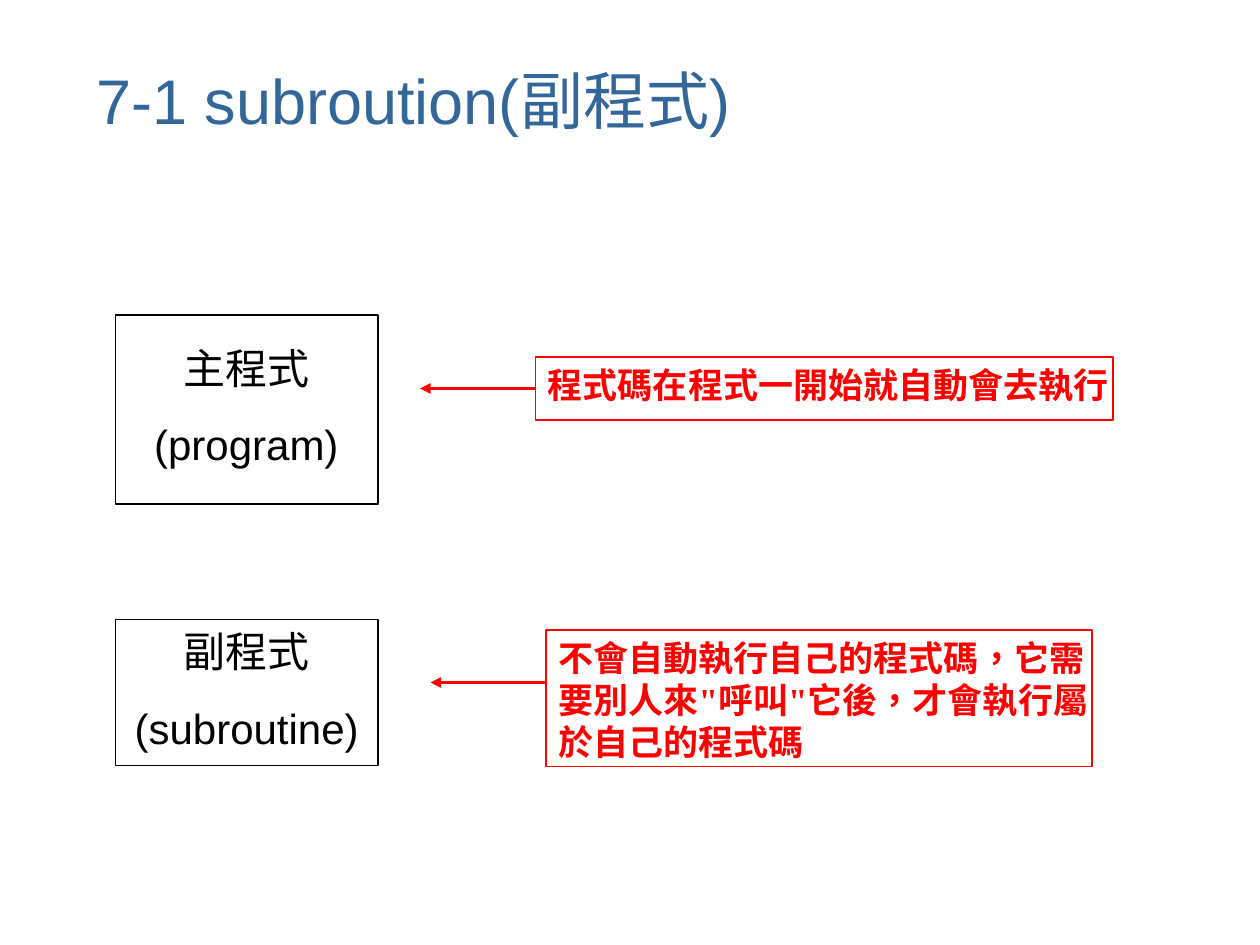
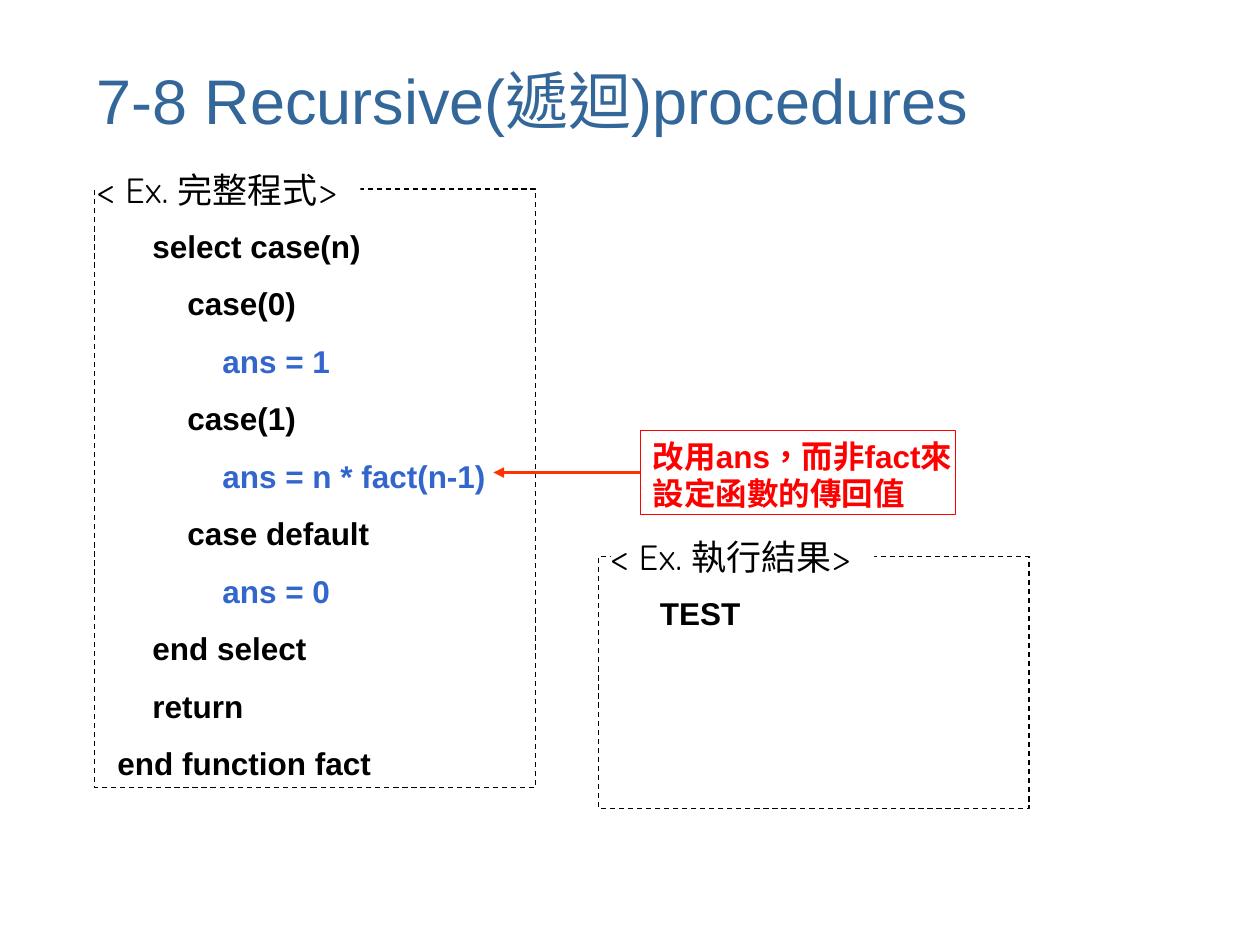
"""Build two slides on subroutines and recursive procedures."""
from lxml.etree import SubElement
from pptx import Presentation
from pptx.dml.color import RGBColor
from pptx.enum.dml import MSO_LINE
from pptx.enum.lang import MSO_LANGUAGE_ID as LANGUAGE
from pptx.enum.shapes import MSO_CONNECTOR, MSO_SHAPE
from pptx.enum.text import MSO_ANCHOR as ANCHOR, PP_ALIGN as ALIGN
from pptx.oxml.ns import qn
from pptx.util import Pt

COLORS = {
    "title": "336699", "text": "000000", "paper": "FFFFFF",
    "note": "FF0000", "arrow": "FF3300", "answer": "3366CC",
}
TITLE_BOX = (48, 18, 612, 78)

ROUTINES = [
    {"lines": ["主程式", "(program)"],
     "frame": (66, 180, 150, 108), "text": (72, 192, 137.5, 80)},
    {"lines": ["副程式", "(subroutine)"],
     "frame": (66, 354, 150, 83.5), "text": (66, 354, 150, 80)},
]
ROUTINE_NOTES = [
    {"text": "程式碼在程式一開始就自動會去執行",
     "frame": (306, 204, 330, 36), "text_width": 335.5, "arrow": (240, 222)},
    {"text": "不會自動執行自己的程式碼，它需要別人來\"呼叫\"它後，才會執行屬於自己的程式碼",
     "frame": (312, 360, 312, 78), "text_width": 324, "arrow": (246, 390)},
]
ANSWER_NOTE = {
    "text": "改用ans，而非fact來設定函數的傳回值",
    "frame": (366, 246, 180, 48), "text_width": 186, "arrow": (282, 270),
}
CODE = [
    "    select case(n)",
    "        case(0)",
    "            ans = 1",
    "        case(1)",
    "            ans = n * fact(n-1)",
    "        case default",
    "            ans = 0",
    "    end select",
    "    return",
    "end function fact",
]
EXAMPLES = [
    {"label": "< Ex. 完整程式>", "lines": CODE, "frame": (54, 108, 252, 342),
     "label_left": 55.5, "text": (60, 126, 240, 325)},
    {"label": "< Ex. 執行結果>", "lines": ["TEST"], "frame": (342, 318, 246, 144),
     "label_left": 349, "text": (370, 336, 236, 29)},
]


def rgb(name):
    return RGBColor.from_string(COLORS[name])


def add_box(slide, box, line=None, dashed=False):
    shape = slide.shapes.add_shape(MSO_SHAPE.RECTANGLE, *map(Pt, box))
    shape.shadow.inherit = False
    shape.fill.solid()
    shape.fill.fore_color.rgb = rgb("paper")
    if line:
        shape.line.color.rgb = rgb(line)
        shape.line.width = Pt(0.75)
        if dashed:
            shape.line.dash_style = MSO_LINE.DASH
    else:
        shape.line.fill.background()
    return shape


def write(shape, lines, size, font="Arial", color="text", bold=False,
          align=ALIGN.LEFT, anchor=ANCHOR.TOP, gap=0):
    frame = shape.text_frame
    frame.word_wrap = True
    frame.vertical_anchor = anchor
    for index, line in enumerate(lines):
        paragraph = frame.add_paragraph() if index else frame.paragraphs[0]
        run = paragraph.add_run()
        run.text = line
        run.font.language_id = LANGUAGE.TRADITIONAL_CHINESE
        paragraph.alignment = align
        paragraph.space_before = Pt(gap if index else 0)
        paragraph.font.name = font
        paragraph.font.size = Pt(size)
        paragraph.font.bold = bold
        answer = line.lstrip().startswith("ans =")
        paragraph.font.color.rgb = rgb("answer" if answer else color)


def add_text(slide, box, lines, size, **style):
    write(slide.shapes.add_textbox(*map(Pt, box)), lines, size, **style)


def add_arrow(slide, start, end, y, color):
    arrow = slide.shapes.add_connector(
        MSO_CONNECTOR.STRAIGHT, Pt(start), Pt(y), Pt(end), Pt(y))
    arrow.line.color.rgb = rgb(color)
    arrow.line.width = Pt(2)
    SubElement(arrow.line._get_or_add_ln(), qn("a:tailEnd"), type="triangle")
    SubElement(arrow._element.spPr, qn("a:effectLst"))


def add_note(slide, note, size, font, arrow_color):
    left, top, _, height = note["frame"]
    tip, y = note["arrow"]
    add_arrow(slide, left, tip, y, arrow_color)
    add_box(slide, note["frame"], "note")
    add_text(slide, (left, top, note["text_width"], height), [note["text"]],
             size, font=font, color="note", bold=True)


def add_example(slide, example):
    add_box(slide, example["frame"], "text", dashed=True)
    label = add_box(
        slide, (example["label_left"], example["frame"][1] - 12, 150.5, 24))
    frame = label.text_frame
    frame.margin_left = frame.margin_right = 0
    frame.margin_top = frame.margin_bottom = 0
    write(label, [example["label"]], 20, font="Quicksand")
    add_text(slide, example["text"], example["lines"], 18, bold=True, gap=11.25)


def add_slide(presentation, title):
    slide = presentation.slides.add_slide(presentation.slide_layouts[6])
    add_text(slide, TITLE_BOX, [title], 36, color="title", anchor=ANCHOR.MIDDLE)
    return slide


def main():
    presentation = Presentation()
    presentation.slide_width, presentation.slide_height = Pt(720), Pt(540)

    slide = add_slide(presentation, "7-1 subroution(副程式)")
    for note in ROUTINE_NOTES:
        add_note(slide, note, 20, "Times New Roman", "note")
    for routine in ROUTINES:
        add_box(slide, routine["frame"], "text")
        add_text(slide, routine["text"], routine["lines"], 24,
                 align=ALIGN.CENTER, gap=15)

    slide = add_slide(presentation, "7-8 Recursive(遞迴)procedures")
    for example in EXAMPLES:
        add_example(slide, example)
    add_note(slide, ANSWER_NOTE, 18, "Arial", "arrow")

    presentation.save("out.pptx")


if __name__ == "__main__":
    main()
